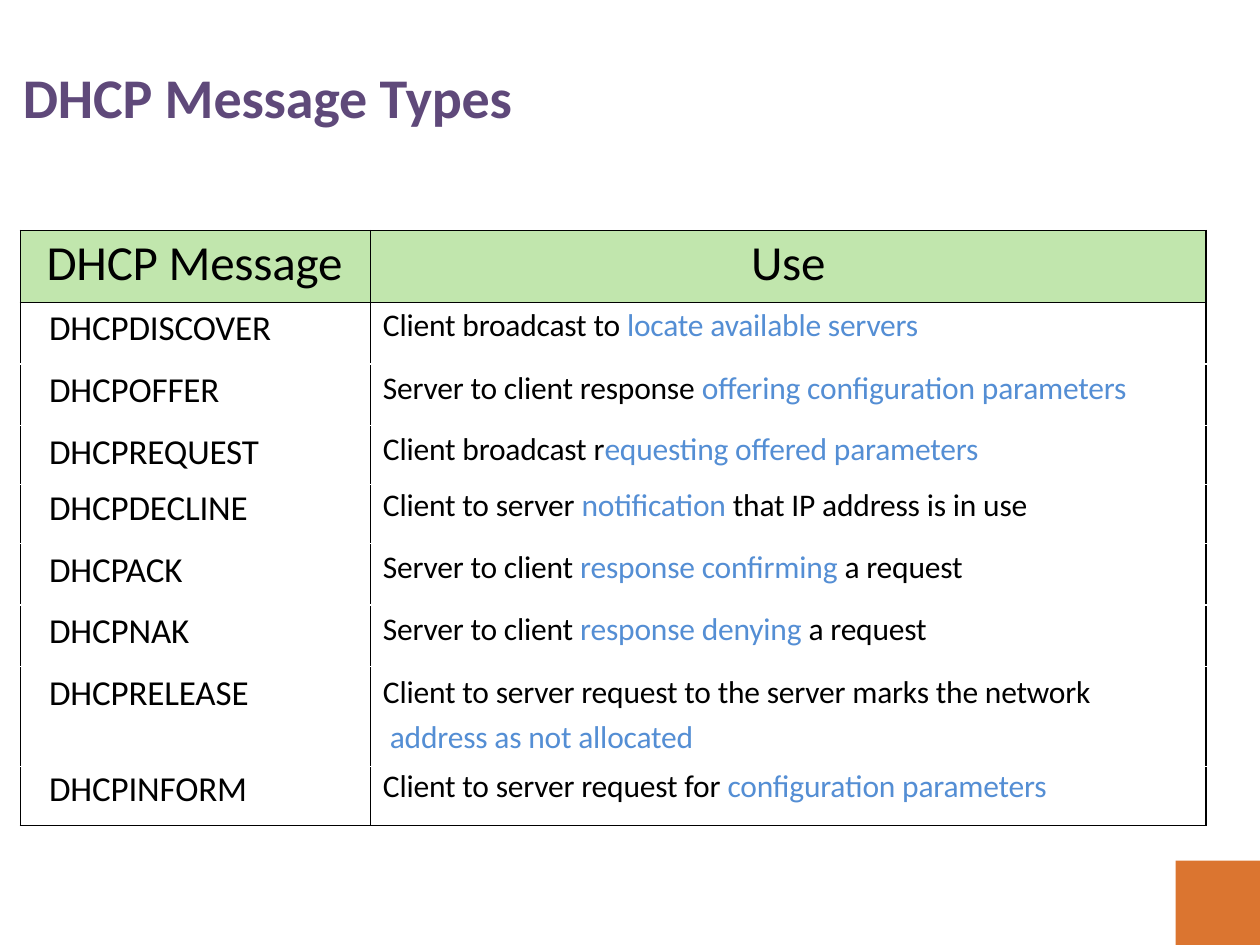
from lxml import etree
from pptx import Presentation
from pptx import util as u
from pptx.dml.color import RGBColor
from pptx.enum import shapes, text
from pptx.oxml.ns import qn

BLACK, BLUE = "000000", "548ED4"


def add_run(paragraph, words, size, color, bold=False):
    run = paragraph.add_run()
    run.text = words
    run.font.name = "Calibri"
    run.font.size = u.Pt(size)
    run.font.bold = bold
    run.font.color.rgb = RGBColor.from_string(color)
    run._r.get_or_add_rPr().set("spc", "-10")


def add_borders(cell, sides):
    """Draw 1 pt black lines on the given sides, in the order L, R, T, B."""
    properties = cell._tc.get_or_add_tcPr()
    for side in sides:
        line = etree.SubElement(properties, qn(f"a:ln{side}"), w=str(u.Pt(1)))
        fill = etree.SubElement(line, qn("a:solidFill"))
        etree.SubElement(fill, qn("a:srgbClr"), val=BLACK)


presentation = Presentation()
presentation.slide_width = u.Cm(25.4)
presentation.slide_height = u.Cm(19.05)
slide = presentation.slides.add_slide(presentation.slide_layouts[5])

# Corner square
side = u.Cm(1.7)
corner = slide.shapes.add_shape(
    shapes.MSO_SHAPE.RECTANGLE,
    presentation.slide_width - side, presentation.slide_height - side, side, side)
corner.shadow.inherit = False
corner.fill.solid()
corner.fill.fore_color.rgb = RGBColor.from_string("DB7530")
corner.line.fill.background()

# Title
title = slide.shapes.title
title.left, title.top, title.width, title.height = u.Cm(0.43), u.Cm(1.22), u.Cm(10), u.Cm(1.42)
frame = title.text_frame
frame.margin_left = frame.margin_top = u.Cm(0.03)
frame.margin_right = frame.margin_bottom = 0
frame.vertical_anchor = text.MSO_ANCHOR.TOP
frame.auto_size = text.MSO_AUTO_SIZE.SHAPE_TO_FIT_TEXT
paragraph = frame.paragraphs[0]
paragraph.alignment = text.PP_ALIGN.LEFT
paragraph.space_before = u.Pt(1.1)
add_run(paragraph, "DHCP Message Types", 32, "5F497A", bold=True)

# Row height (cm), space above the text (pt), message, use in alternating black and blue pieces
rows = [
    (1.45, 1.8, "DHCP Message", ["Use"]),
    (1.24, 2.4, "DHCPDISCOVER", ["Client broadcast to ", "locate available servers"]),
    (1.24, 3, "DHCPOFFER", ["Server to client response ", "offering configuration parameters"]),
    (1.19, 3, "DHCPREQUEST", ["Client broadcast r", "equesting offered parameters"]),
    (1.19, 1.2, "DHCPDECLINE", ["Client to server ", "notification ", "that IP address is in use"]),
    (1.24, 3, "DHCPACK", ["Server to client ", "response confirming ", "a request"]),
    (1.24, 3, "DHCPNAK", ["Server to client ", "response denying ", "a request"]),
    (2.01, 3, "DHCPRELEASE", ["Client to server request to the server marks the network",
                              "\n address as not allocated"]),
    (1.19, 0.8, "DHCPINFORM", ["Client to server request for ", "configuration parameters"]),
]
table = slide.shapes.add_table(
    len(rows), 2, u.Cm(0.41), u.Cm(4.65), u.Cm(23.9), u.Cm(12)).table
table.first_row = table.horz_banding = False
table.columns[0].width = u.Cm(7.06)
table.columns[1].width = u.Cm(16.84)

for index, (height, space, message, use) in enumerate(rows):
    table.rows[index].height = u.Cm(height)
    header = index == 0
    sides = "LRTB" if index < 2 else "LRB" if index == len(rows) - 1 else "LR"
    for column, pieces in enumerate(([message], use)):
        cell = table.cell(index, column)
        add_borders(cell, sides)
        if header:
            cell.fill.solid()
            cell.fill.fore_color.rgb = RGBColor.from_string("C1E6AD")
        else:
            cell.fill.background()
        cell.margin_right = cell.margin_bottom = 0
        cell.margin_top = u.Pt(space)
        cell.margin_left = u.Cm(0.25 if column else 0.58)
        paragraph = cell.text_frame.paragraphs[0]
        paragraph.space_before = u.Pt(space)
        size = 18 if column else 20
        if header:
            size = 28
            cell.margin_left = u.Cm(0 if column else 0.53)
            if column:
                paragraph.alignment = text.PP_ALIGN.CENTER
        for position, piece in enumerate(pieces):
            if piece.startswith("\n"):
                paragraph.add_line_break()
                paragraph.line_spacing = u.Pt(25.9)
                paragraph.space_before = u.Pt(0.3)
                cell.margin_top = 0
            add_run(paragraph, piece.lstrip("\n"), size, BLUE if position % 2 else BLACK)

presentation.save("out.pptx")
